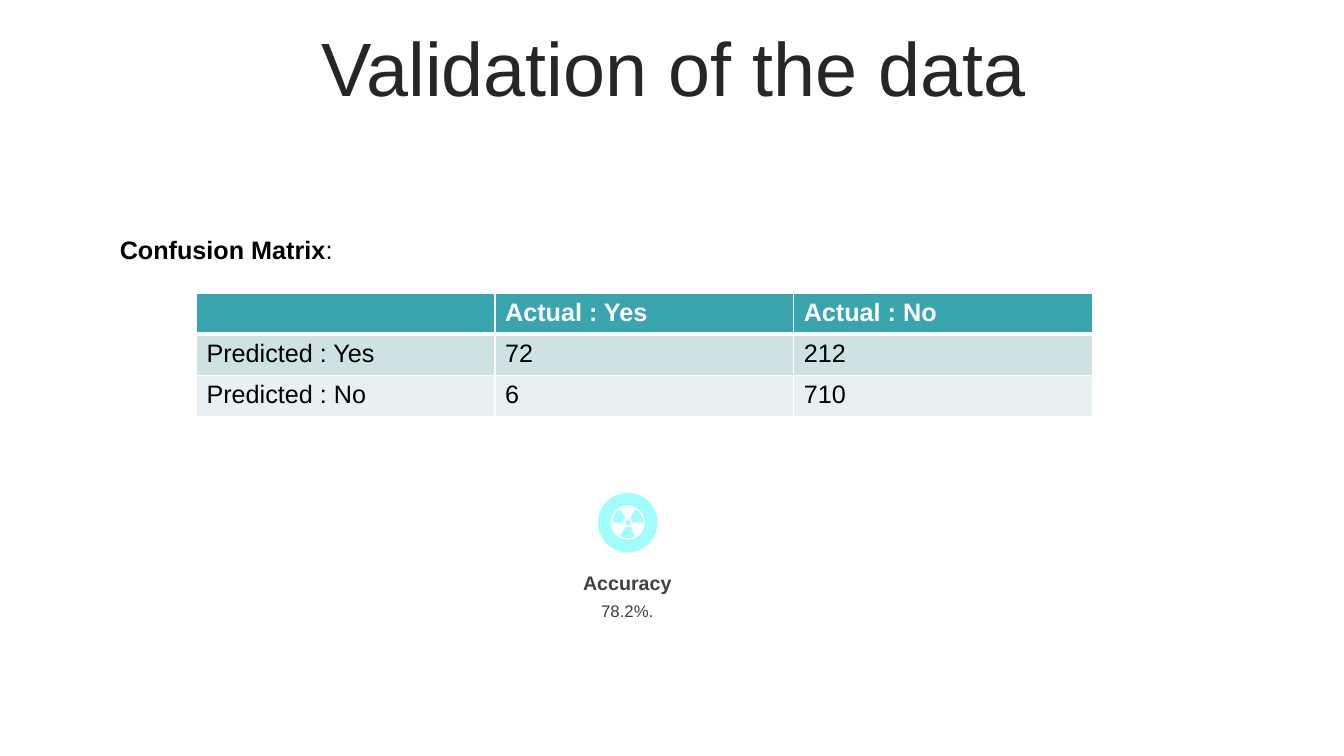
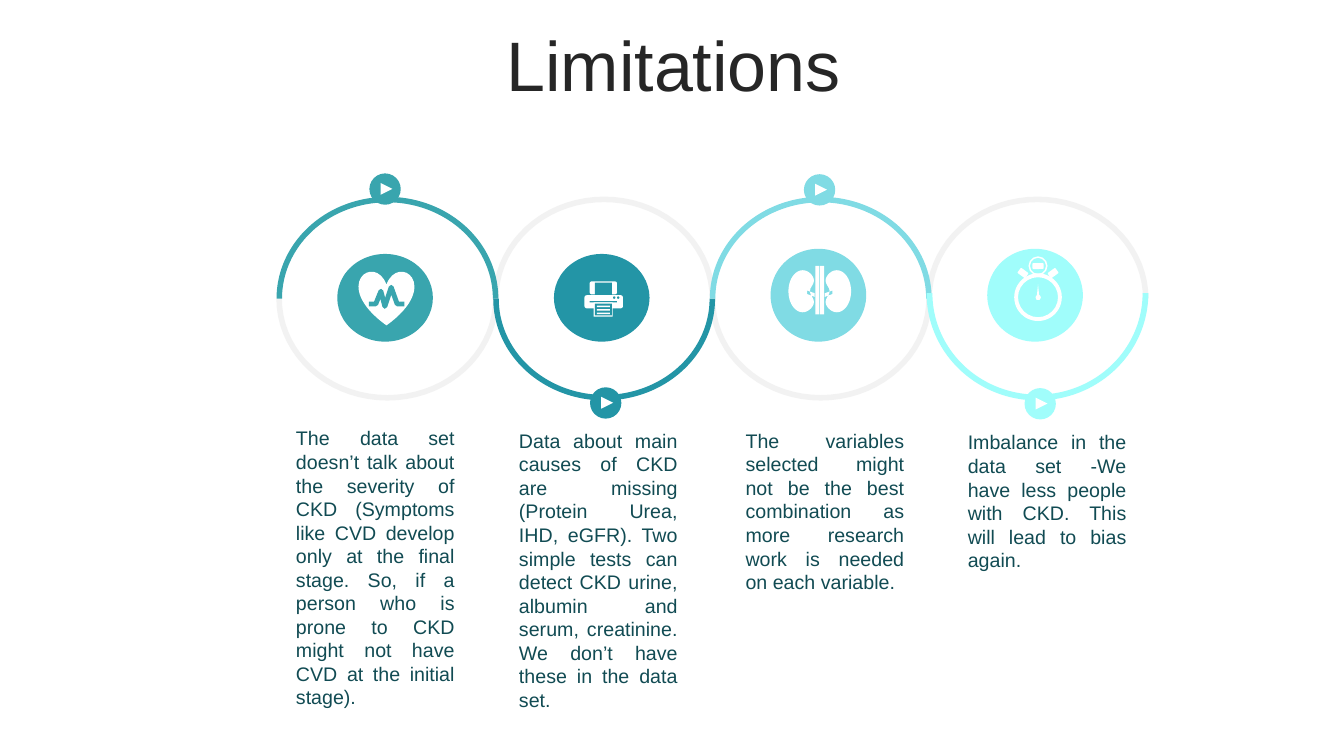
"""Builds two slides: a confusion matrix with its accuracy, and four limitations of the data."""
import math

from lxml import etree
from pptx import Presentation
from pptx.dml.color import RGBColor
from pptx.enum.shapes import MSO_SHAPE
from pptx.enum.text import MSO_ANCHOR, MSO_AUTO_SIZE, PP_ALIGN
from pptx.oxml.ns import qn
from pptx.util import Cm, Pt

OVAL, RECT, ROUND = MSO_SHAPE.OVAL, MSO_SHAPE.RECTANGLE, MSO_SHAPE.ROUNDED_RECTANGLE
ARC, PIE, DONUT = MSO_SHAPE.BLOCK_ARC, MSO_SHAPE.PIE, MSO_SHAPE.DONUT
HEART, TRIANGLE = MSO_SHAPE.HEART, MSO_SHAPE.ISOSCELES_TRIANGLE
ARROW = MSO_SHAPE.FLOWCHART_EXTRACT
LEFT, CENTER, JUSTIFY = PP_ALIGN.LEFT, PP_ALIGN.CENTER, PP_ALIGN.JUSTIFY
MIDDLE, TOP = MSO_ANCHOR.MIDDLE, MSO_ANCHOR.TOP
NO_FIT = MSO_AUTO_SIZE.NONE

FONT = "Arial"
WHITE, BLACK, GRAY = "FFFFFF", "000000", "F2F2F2"
TITLE_COLOR, LABEL_COLOR, BODY_COLOR = "262626", "404040", "114B53"
TEAL, DEEP_TEAL, SKY, AQUA = "39A5AE", "2395A6", "80DBE4", "A0FDFB"
ROW_FILLS = [TEAL, "CEE1E3", "E8F0F2"]


def add_shape(page, kind, box, color, rotation=0, adjustments=()):
    """Add a plain filled shape; the box is left, top, width, height in cm."""
    shape = page.shapes.add_shape(kind, *[Cm(length) for length in box])
    shape.shadow.inherit = False
    shape.fill.solid()
    shape.fill.fore_color.rgb = RGBColor.from_string(color)
    shape.line.fill.background()
    shape.rotation = rotation
    for index, value in enumerate(adjustments):
        shape.adjustments[index] = value


def format_text(text_frame, size, color, align=LEFT, bold=False, anchor=TOP):
    """Format every run of a text frame."""
    text_frame.word_wrap = True
    text_frame.vertical_anchor = anchor
    for para in text_frame.paragraphs:
        para.alignment = align
        for span in para.runs:
            span.font.name = FONT
            span.font.size = Pt(size)
            span.font.bold = bold
            span.font.color.rgb = RGBColor.from_string(color)


deck = Presentation()
deck.slide_width, deck.slide_height = Cm(33.87), Cm(19.05)

pages = []
for heading, size, spacing in [("Validation of the data", 54, 0.9), ("Limitations", 50, 0.8)]:
    page = deck.slides.add_slide(deck.slide_layouts[5])
    title = page.shapes.title
    title.left, title.top, title.width, title.height = Cm(0.9), Cm(0.8), Cm(32.16), Cm(2.01)
    title.text_frame.text = heading
    title.text_frame.auto_size = NO_FIT
    format_text(title.text_frame, size, TITLE_COLOR, CENTER, anchor=MIDDLE)
    title.text_frame.paragraphs[0].line_spacing = spacing
    title.text_frame.paragraphs[0].space_before = Pt(10)
    pages.append(page)
validation, limitations = pages

labels = [
    ("Confusion Matrix", (2.77, 5.79, 7.7, 1.02), 18, BLACK, LEFT, True, TOP),
    ("Accuracy", (12.42, 14.25, 6.78, 0.86), 14, LABEL_COLOR, CENTER, True, MIDDLE),
    ("78.2%.", (12.42, 15.01, 6.78, 0.76), 12, LABEL_COLOR, CENTER, False, TOP),
]
for text, place, size, color, align, bold, anchor in labels:
    box = validation.shapes.add_textbox(*[Cm(length) for length in place])
    para = box.text_frame.paragraphs[0]
    para.text = text
    if text == "Confusion Matrix":
        para.add_run().text = ":"
    format_text(box.text_frame, size, color, align, bold, anchor)
    for span in para.runs[1:]:
        span.font.bold = False

matrix = [
    ["", "Actual : Yes", "Actual : No"],
    ["Predicted : Yes", "72", "212"],
    ["Predicted : No", "6", "710"],
]
table = validation.shapes.add_table(3, 3, Cm(4.95), Cm(7.39), Cm(22.58), Cm(3.1)).table
for row_index, values in enumerate(matrix):
    header = row_index == 0
    for column_index, value in enumerate(values):
        cell = table.cell(row_index, column_index)
        cell.fill.solid()
        cell.fill.fore_color.rgb = RGBColor.from_string(ROW_FILLS[row_index])
        cell.text_frame.text = value
        format_text(cell.text_frame, 18, WHITE if header else BLACK, bold=header)
        if header:
            border = etree.Element(qn("a:lnB"), w=str(Pt(3)))
            border_fill = etree.SubElement(border, qn("a:solidFill"))
            etree.SubElement(border_fill, qn("a:srgbClr"), val=WHITE)
            cell.fill._xPr.insert(0, border)

center_x, center_y = 15.82, 13.17
for kind, diameter, color, angles in [
    (OVAL, 1.5, AQUA, ()),
    (OVAL, 0.86, WHITE, ()),
    (PIE, 0.78, AQUA, (60, 120)),
    (PIE, 0.78, AQUA, (180, 240)),
    (PIE, 0.78, AQUA, (300, 0)),
    (OVAL, 0.24, WHITE, ()),
    (OVAL, 0.13, AQUA, ()),
]:
    place = (center_x - diameter / 2, center_y - diameter / 2, diameter, diameter)
    add_shape(validation, kind, place, color, adjustments=[angle * 0.6 for angle in angles])

HALF_RING = (108, 0, 0.027)
RING_LEFT, RING_TOP, RING_WIDTH, RING_HEIGHT, PITCH = 6.97, 4.96, 5.59, 5.13, 5.46
steps = [
    (TEAL, RING_TOP, (6.4, 2.21), (9.31, 4.37), (7.21, 10.62, 4.5, 8.03),
     "The data set doesn’t talk about the severity of CKD (Symptoms like CVD develop only at the "
     "final stage. So, if a person who is prone to CKD might not have CVD at the initial stage)."),
    (DEEP_TEAL, RING_TOP, (6.4, 2.21), (14.87, 9.76), (12.83, 10.68, 4.5, 8.03),
     "Data about main causes of CKD are missing (Protein Urea, IHD, eGFR). Two simple tests can "
     "detect CKD urine, albumin and serum, creatinine. We don’t have these in the data set."),
    (SKY, RING_TOP, (6.27, 2.34), (20.26, 4.39), (18.54, 10.68, 4.5, 5.05),
     "The variables selected might not be the best combination as more research work is needed "
     "on each variable."),
    (AQUA, 4.68, (6.27, 2.34), (25.82, 9.78), (24.14, 10.72, 4.5, 4.45),
     "Imbalance in the data set -We have less people with CKD. This will lead to bias again."),
]
for index, (color, ring_top, disc, marker, place, text) in enumerate(steps):
    add_shape(limitations, OVAL, (8.5 + index * PITCH, disc[0], 2.41, disc[1]), color)

edges = []
for offset in (0.07, -0.07):
    edge = []
    for index in range(4):
        side = 1 - 2 * (index % 2)
        radius_x, radius_y = PITCH / 2 + side * offset, 2.5 + side * offset
        for step in range(37):
            angle = step * math.pi / 36
            x = RING_LEFT + RING_WIDTH / 2 + index * PITCH - radius_x * math.cos(angle)
            y = RING_TOP + RING_HEIGHT / 2 + side * radius_y * math.sin(angle)
            edge.append((x, y))
    edges.append(edge)
wave = edges[0] + edges[1][::-1]

kidney = []
for step in range(-24, 24):
    angle = step * math.pi / 24
    dent = 1 - 0.5 * math.exp(-((angle / 0.4) ** 2))
    kidney.append((-0.43 + 0.36 * math.cos(angle) * dent, 0.53 * math.sin(angle)))
vessel = [(-0.11, -0.64), (-0.01, -0.64), (-0.01, 0.58), (-0.11, 0.58)]
branch = [(-0.32, -0.02), (-0.13, 0.05), (-0.13, 0.14), (-0.32, 0.07)]
organs = [
    [(20.66 + side * x, 7.34 + y) for x, y in contour]
    for side in (1, -1) for contour in (kidney, vessel, branch)
]

for contours, color in [([wave], GRAY), (organs, WHITE)]:
    builder = None
    for contour in contours:
        points = [(Cm(x), Cm(y)) for x, y in contour]
        if builder is None:
            builder = limitations.shapes.build_freeform(*points[0])
        else:
            builder.move_to(*points[0])
        builder.add_line_segments(points[1:])
    outline = builder.convert_to_shape()
    outline.shadow.inherit = False
    outline.fill.solid()
    outline.fill.fore_color.rgb = RGBColor.from_string(color)
    outline.line.fill.background()

for index, (color, ring_top, disc, marker, place, text) in enumerate(steps):
    ring_height = RING_TOP + RING_HEIGHT - ring_top
    ring = (RING_LEFT + index * PITCH, ring_top, RING_WIDTH, ring_height)
    add_shape(limitations, ARC, ring, color, 180 * (index % 2), HALF_RING)
    marker_x, marker_y = marker
    add_shape(limitations, OVAL, (marker_x, marker_y, 0.79, 0.79), color)
    add_shape(limitations, ARROW, (marker_x + 0.28, marker_y + 0.24, 0.3, 0.3), WHITE, 90)
    box = limitations.shapes.add_textbox(*[Cm(length) for length in place])
    box.text_frame.text = text
    format_text(box.text_frame, 14, BODY_COLOR, JUSTIFY)

heart = [(HEART, (9.04, 6.83, 1.4, 1.37), WHITE, 0, ())]
printer = [
    (ROUND, (14.86, 7.09, 0.69, 0.33), WHITE, 0, ()),
    (RECT, (14.99, 7.12, 0.43, 0.31), DEEP_TEAL, 0, ()),
    (ROUND, (14.73, 7.44, 0.97, 0.33), WHITE, 0, ()),
    (RECT, (14.86, 7.59, 0.69, 0.03), DEEP_TEAL, 0, ()),
    (OVAL, (15.45, 7.47, 0.06, 0.06), DEEP_TEAL, 0, ()),
    (OVAL, (15.55, 7.47, 0.06, 0.06), DEEP_TEAL, 0, ()),
    (RECT, (14.96, 7.62, 0.48, 0.36), WHITE, 0, ()),
    (RECT, (14.99, 7.65, 0.43, 0.3), DEEP_TEAL, 0, ()),
]
printer += [(RECT, (15.04, line_top, 0.33, 0.04), WHITE, 0, ()) for line_top in (7.7, 7.79, 7.88)]
stopwatch = [
    (DONUT, (25.56, 6.89, 1.2, 1.2), WHITE, 0, (0.08,)),
    (DONUT, (25.92, 6.46, 0.48, 0.48), WHITE, 0, (0.08,)),
    (ROUND, (26.02, 6.63, 0.28, 0.15), WHITE, 0, ()),
    (ROUND, (25.66, 6.8, 0.24, 0.16), WHITE, 36, ()),
    (ROUND, (26.42, 6.8, 0.24, 0.16), WHITE, 324, ()),
    (TRIANGLE, (26.12, 7.16, 0.08, 0.4), WHITE, 0, ()),
    (OVAL, (26.1, 7.43, 0.13, 0.13), WHITE, 0, ()),
]
for part in heart + printer + stopwatch:
    add_shape(limitations, *part)

beat = [(9.3, 7.66), (9.47, 7.66), (9.6, 7.34), (9.7, 7.72), (9.86, 7.24), (10.01, 7.66), (10.19, 7.66)]
points = [(Cm(x), Cm(y)) for x, y in beat]
builder = limitations.shapes.build_freeform(*points[0])
builder.add_line_segments(points[1:], close=False)
pulse = builder.convert_to_shape()
pulse.shadow.inherit = False
pulse.fill.background()
pulse.line.color.rgb = RGBColor.from_string(TEAL)
pulse.line.width = Pt(3.5)

deck.save("out.pptx")
